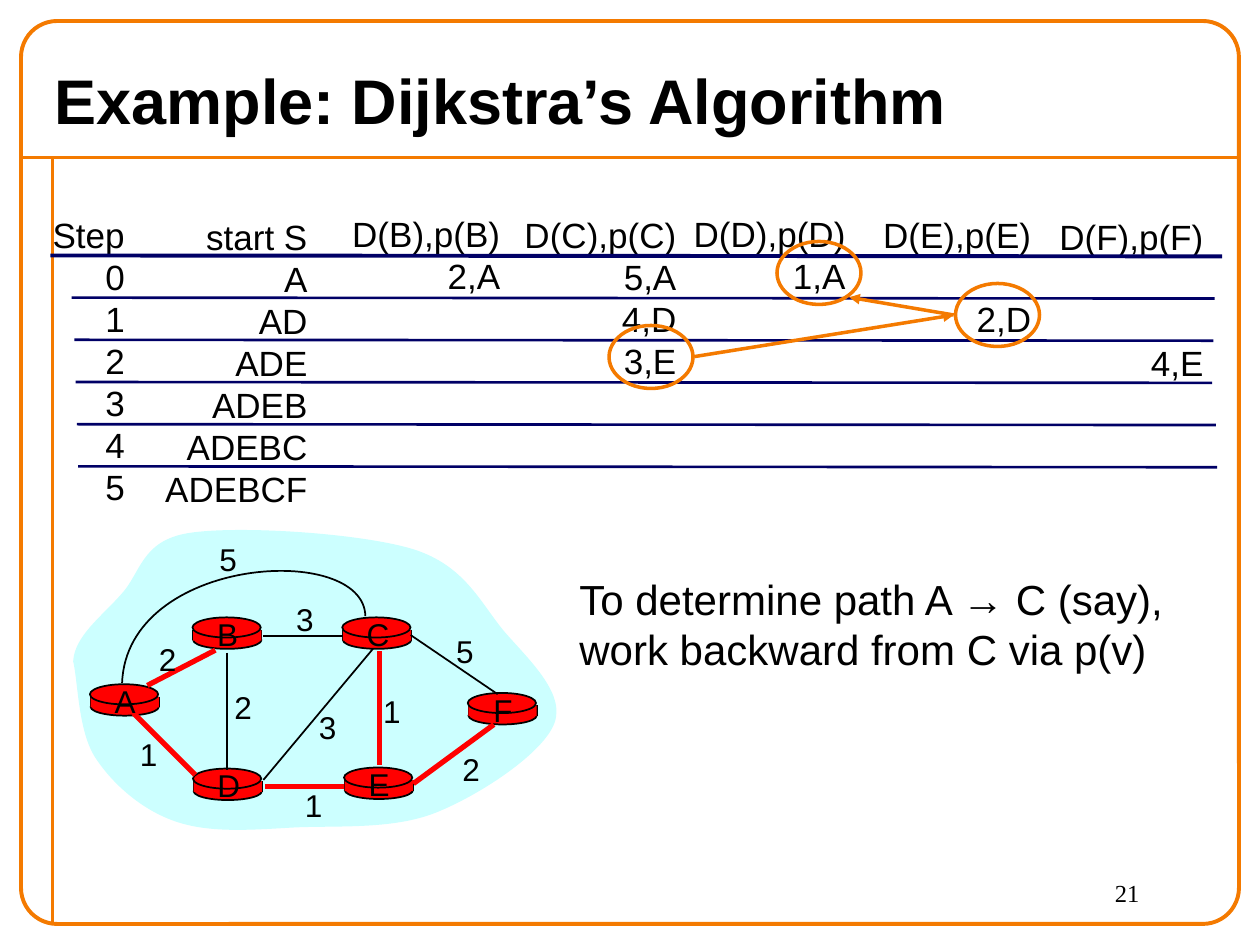
from lxml.etree import SubElement
from pptx import Presentation
from pptx.dml.color import RGBColor
from pptx.enum.shapes import MSO_CONNECTOR as CONNECTOR, MSO_SHAPE as SHAPE
from pptx.enum.text import MSO_ANCHOR as ANCHOR, PP_ALIGN as ALIGN
from pptx.oxml.ns import qn
from pptx.util import Pt

ORANGE, NAVY, RED, BLACK, CYAN = "F47A00", "000066", "FF0000", "000000", "CCFFFF"


def paint(shape, fill=None, line=None, width=1):
    if hasattr(shape, "fill"):
        shape.shadow.inherit = False
        if fill:
            shape.fill.solid()
            shape.fill.fore_color.rgb = RGBColor.from_string(fill)
        else:
            shape.fill.background()
    if line:
        shape.line.color.rgb = RGBColor.from_string(line)
        shape.line.width = Pt(width)
    else:
        shape.line.fill.background()
    if not hasattr(shape, "fill"):
        SubElement(shape._element.spPr, qn("a:effectLst"))
    return shape


def write(shape, rows, size, align=ALIGN.LEFT, font="Arial", bold=False):
    frame = shape.text_frame
    gap = 0
    first = True
    for row in rows:
        if not row:
            gap += size * 1.2
            continue
        paragraph = frame.paragraphs[0] if first else frame.add_paragraph()
        first = False
        paragraph.alignment = align
        paragraph.line_spacing = Pt(size * 1.2)
        paragraph.space_before = Pt(gap)
        gap = 0
        run = paragraph.add_run()
        run.text = row
        run.font.name = font
        run.font.size = Pt(size)
        run.font.bold = bold
        run.font.color.rgb = RGBColor.from_string(BLACK)


presentation = Presentation()
presentation.slide_width, presentation.slide_height = Pt(720), Pt(540)
slide = presentation.slides.add_slide(presentation.slide_layouts[5])
shapes = slide.shapes

for points in [(12, 90, 708, 90), (30, 90, 30, 528)]:
    border = shapes.add_connector(CONNECTOR.STRAIGHT, *map(Pt, points))
    paint(border, line=ORANGE, width=2.25)
frame_shape = shapes.add_shape(SHAPE.ROUNDED_RECTANGLE, Pt(12), Pt(12), Pt(696), Pt(516))
frame_shape.adjustments[0] = 0.04
paint(frame_shape, line=ORANGE, width=2.25)

title = shapes.title
title.left, title.top, title.width, title.height = Pt(24), Pt(30), Pt(684), Pt(54)
title.text_frame.vertical_anchor = ANCHOR.MIDDLE
write(title, ["Example: Dijkstra’s Algorithm"], 36, bold=True)

page_number = shapes.add_textbox(Pt(630), Pt(498), Pt(72), Pt(30))
write(page_number, ["21"], 14, font="Times New Roman")

columns = [
    (22, 118.6, 56.4, ["Step", "0", "1", "2", "3", "4", "5"]),
    (86, 119.5, 96.8, ["start S", "A", "AD", "ADE", "ADEB", "ADEBC", "ADEBCF"]),
    (191, 118.1, 102, ["D(B),p(B)", "2,A"]),
    (290, 118.4, 103.6, ["D(C),p(C)", "5,A", "4,D", "3,E"]),
    (387, 118.1, 103.3, ["D(D),p(D)", "1,A"]),
    (494, 118.4, 102.4, ["D(E),p(E)", "", "2,D"]),
    (595, 119.5, 99.8, ["D(F),p(F)", "", "", "4,E"]),
]
for left, top, width, rows in columns:
    column = shapes.add_textbox(Pt(left), Pt(top), Pt(width), Pt(24 * len(rows) + 7.2))
    column.text_frame.word_wrap = False
    write(column, rows, 20, ALIGN.RIGHT)

rule_ends = [(28.8, 698.4), (41, 694.1), (42.5, 693.4), (43.2, 692.6), (43.9, 694.8), (44.6, 695.5)]
for index, (start, end) in enumerate(rule_ends):
    y = 146 + 24.1 * index
    rule = shapes.add_connector(CONNECTOR.STRAIGHT, Pt(start), Pt(y), Pt(end), Pt(y + 0.5))
    paint(rule, line=NAVY, width=1.5 if index else 2.25)

cloud_points = [
    (41.8, 378), (42.5, 363.6), (58.3, 352.1), (69.1, 339.8),
    (80.6, 327.6), (80.6, 308.9), (108, 304.6), (136.1, 300.2), (205.9, 304.6), (236.2, 313.9),
    (265.7, 323.3), (274.3, 344.2), (288, 360.7), (301.7, 376.6), (323.3, 396), (316.8, 413.3),
    (310.3, 430.6), (274.3, 454.3), (249.1, 464.4), (223.9, 474.5), (190.8, 471.6), (166.3, 473),
    (141.1, 474.5), (118.8, 475.9), (100.1, 469.4), (81.4, 463), (64.8, 448.6), (54.7, 433.4),
    (44.6, 418.3), (44.6, 389.5), (41.8, 378),
]
arc_points = [(208.8, 352.1), (208.1, 309.6), (72.7, 317.5), (69.8, 390.2)]
for points, fill, line in [(cloud_points, CYAN, None), (arc_points, None, BLACK)]:
    vertices = [(Pt(x), Pt(y)) for x, y in points]
    builder = shapes.build_freeform(*vertices[0])
    builder.add_line_segments(vertices[1:], close=bool(fill))
    curve = paint(builder.convert_to_shape(), fill, line)
    segments = curve._element.xpath(".//a:lnTo")
    for start in range(0, len(points) - 1, 3):
        bezier = segments[start]
        bezier.tag = qn("a:cubicBezTo")
        for control in segments[start + 1:start + 3]:
            bezier.append(control[0])
            control.getparent().remove(control)

routers = {
    "A": (51.4, 391), "D": (110.3, 439.2), "B": (110, 352.8),
    "C": (195.6, 352.8), "E": (196.6, 438.6), "F": (267.3, 396),
}
for x, y in routers.values():
    base = shapes.add_shape(SHAPE.OVAL, Pt(x + 0.4), Pt(y + 7.9), Pt(39), Pt(10.1))
    paint(base, RED, BLACK)
    for side in (x + 0.4, x + 39.4):
        edge = shapes.add_connector(CONNECTOR.STRAIGHT, Pt(side), Pt(y + 7.1), Pt(side), Pt(y + 13.2))
        paint(edge, line=BLACK)
    body = shapes.add_shape(SHAPE.RECTANGLE, Pt(x + 0.4), Pt(y + 7.1), Pt(39), Pt(6.2))
    paint(body, RED)
    top_face = shapes.add_shape(SHAPE.OVAL, Pt(x), Pt(y), Pt(39), Pt(11.5))
    paint(top_face, RED, BLACK)

plain_links = [
    (129.6, 373, 129.6, 440), (150.5, 445.7, 213.1, 370.8),
    (195.8, 363.6, 150.5, 363.6), (284.4, 396.7, 234.7, 362.9),
]
tree_links = [
    (216.7, 372.2, 216.7, 437), (236.2, 447.8, 282.2, 414), (196.6, 449.3, 151.2, 449.3),
    (76.3, 407.5, 111.6, 442.8), (84.2, 391.7, 123.1, 371.5),
]
for links, color, width in [(plain_links, BLACK, 1), (tree_links, RED, 3)]:
    for points in links:
        link = shapes.add_connector(CONNECTOR.STRAIGHT, *map(Pt, points))
        paint(link, line=color, width=width)

labels = [(name, x + 6.8, y - 4.9) for name, (x, y) in routers.items()]
labels += [
    ("2", 83.5, 362.2), ("2", 126.7, 389.5), ("1", 72.7, 416.2), ("3", 175, 401),
    ("1", 167, 445.7), ("1", 211.7, 391.7), ("2", 257, 424.8), ("5", 253.4, 357.8),
    ("3", 162, 339.1), ("5", 118.1, 305.3),
]
for text, left, top in labels:
    label = shapes.add_textbox(Pt(left), Pt(top), Pt(26.6 if text.isalpha() else 24.5), Pt(28.8))
    label.text_frame.word_wrap = False
    write(label, [text], 18, ALIGN.CENTER)

note = shapes.add_textbox(Pt(324), Pt(324), Pt(366), Pt(64.8))
note.text_frame.word_wrap = True
note.text_frame.vertical_anchor = ANCHOR.MIDDLE
write(note, ["To determine path A → C (say), work backward from C via p(v)"], 24)

for left, top in [(348, 186), (546, 162), (444, 138)]:
    ring = shapes.add_shape(SHAPE.OVAL, Pt(left), Pt(top), Pt(48), Pt(36))
    paint(ring, line=ORANGE, width=2)
for points in [(396.7, 203.8, 545, 180), (545, 180, 485.3, 169.9)]:
    arrow = shapes.add_connector(CONNECTOR.STRAIGHT, *map(Pt, points))
    paint(arrow, line=ORANGE, width=2)
    SubElement(arrow._element.spPr.find(qn("a:ln")), qn("a:tailEnd"), type="triangle")

presentation.save("out.pptx")
